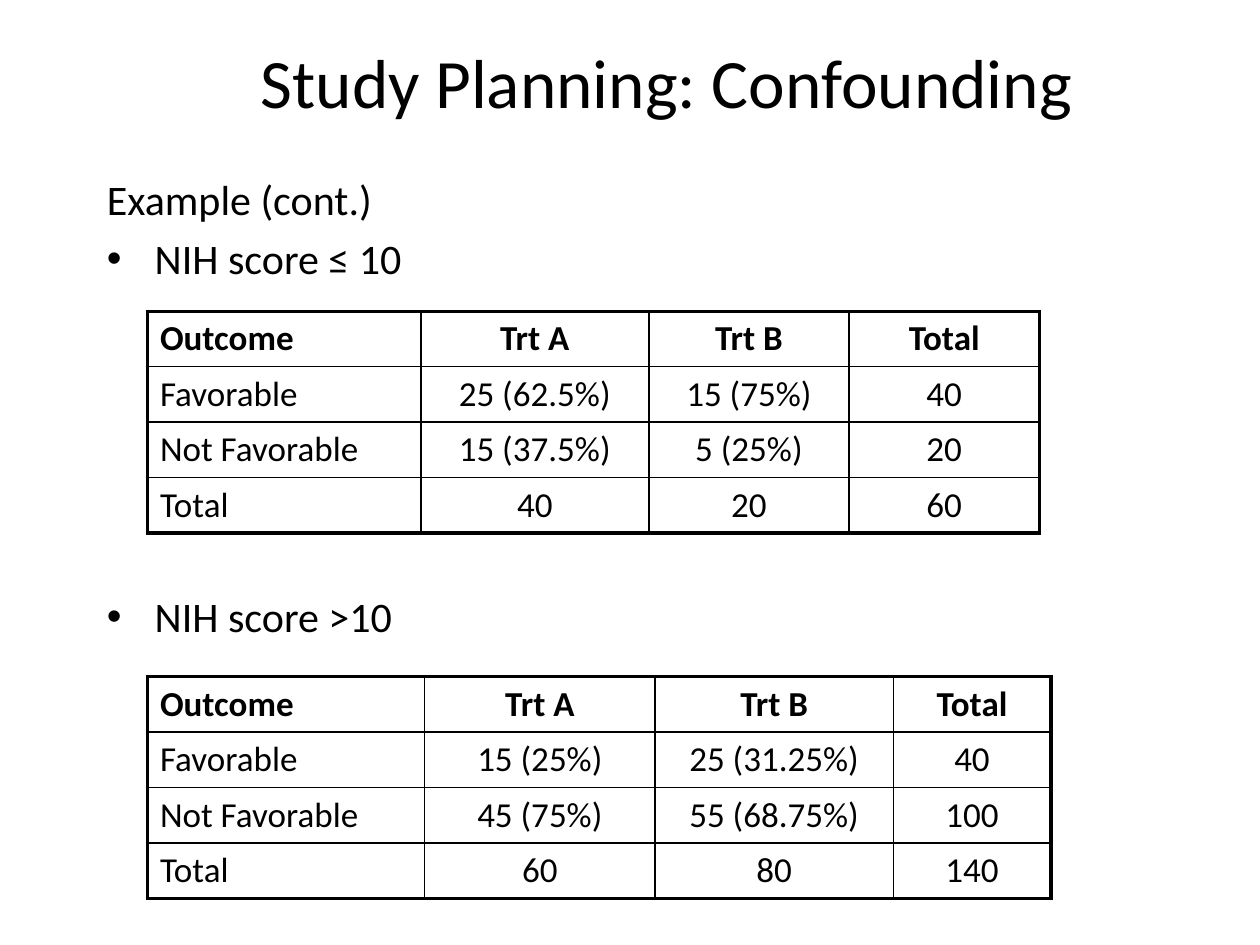
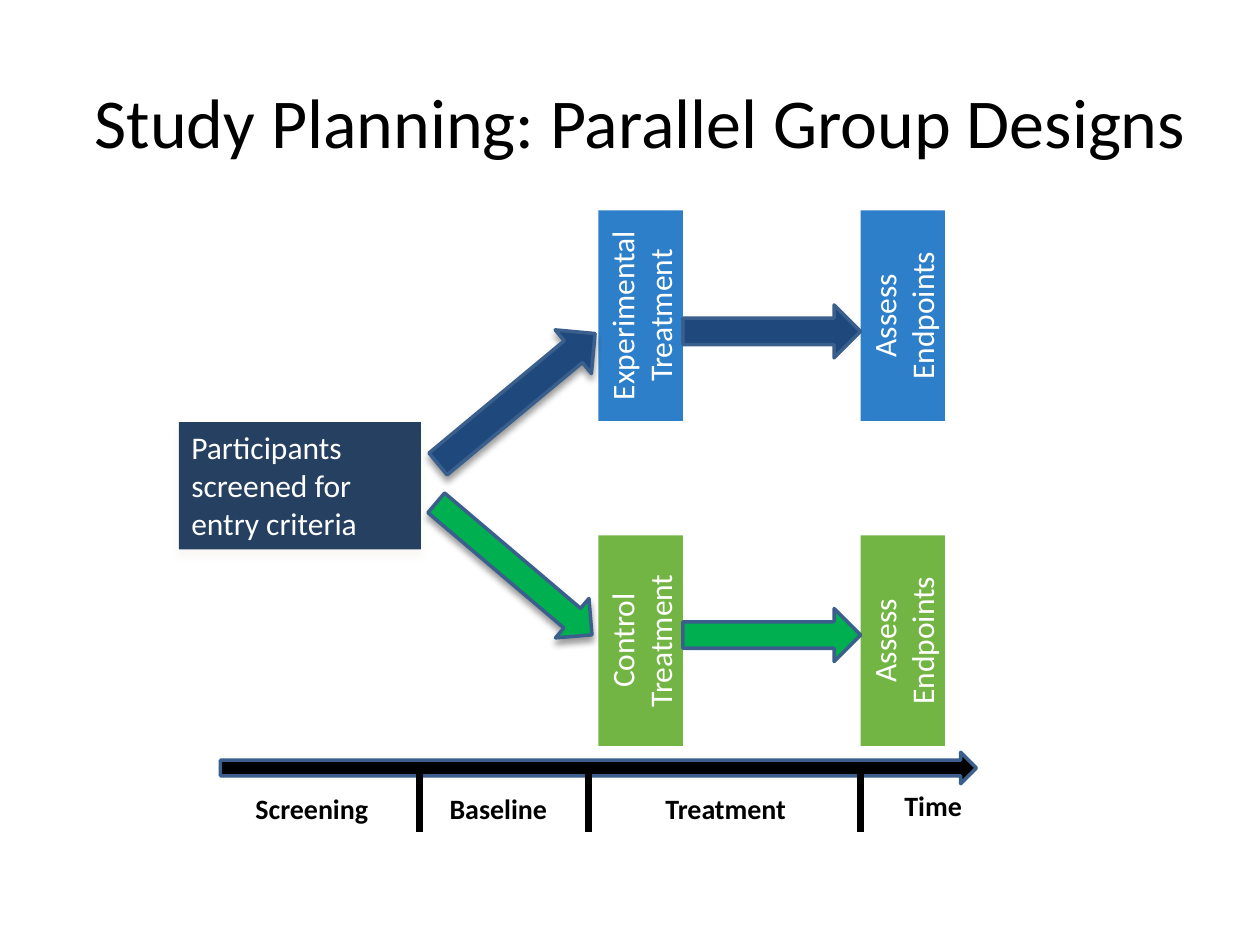
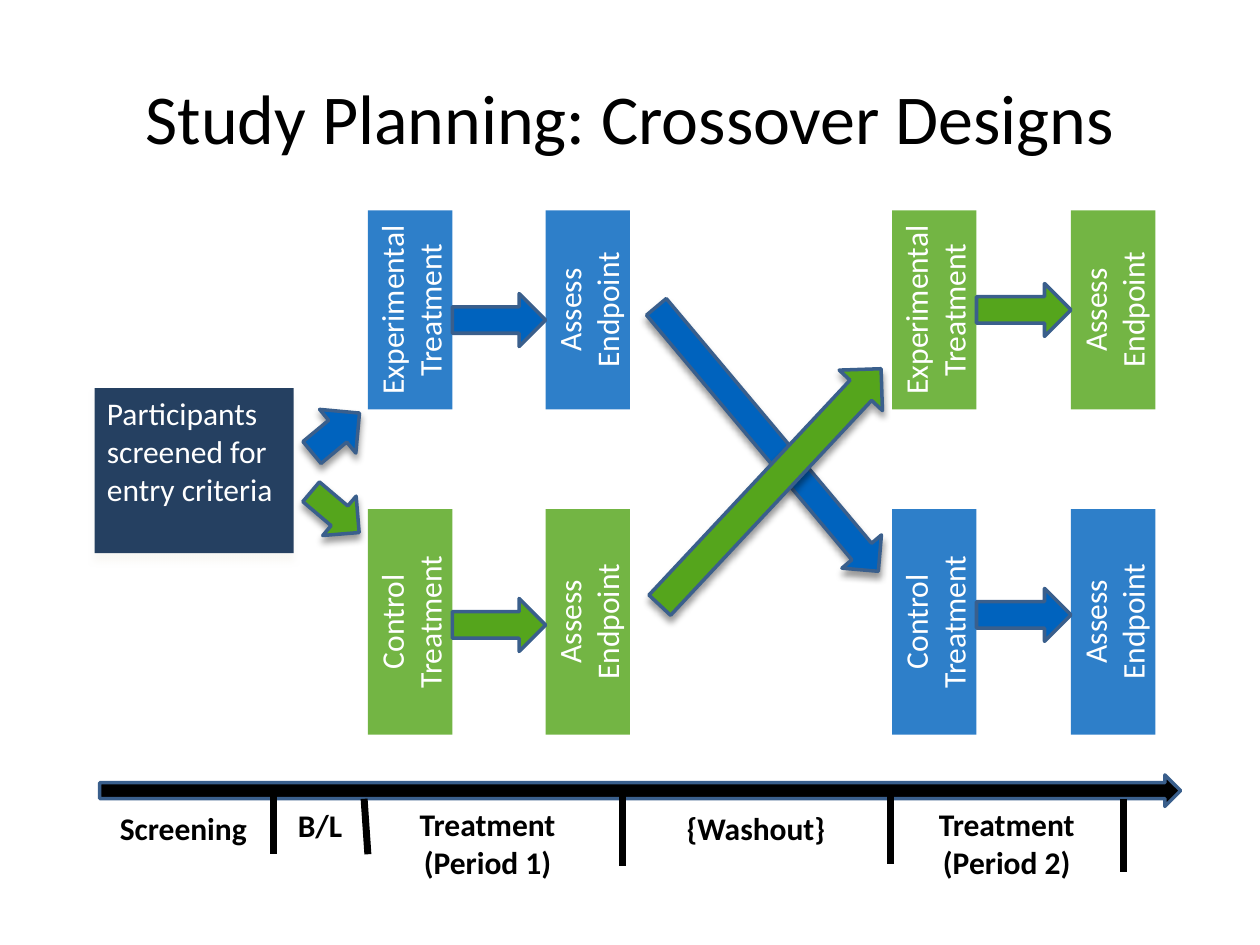
from lxml.etree import SubElement
from pptx import Presentation
from pptx.dml.color import RGBColor
from pptx.enum.shapes import MSO_CONNECTOR, MSO_SHAPE
from pptx.enum.text import MSO_ANCHOR as ANCHOR, PP_ALIGN as ALIGN
from pptx.oxml.ns import qn
from pptx.util import Inches, Pt

FONT = "Calibri"
BLACK = RGBColor(0x00, 0x00, 0x00)
WHITE = RGBColor(0xFF, 0xFF, 0xFF)
DARK = RGBColor(0x25, 0x40, 0x61)
NAVY = RGBColor(0x1F, 0x49, 0x7D)
BLUE = RGBColor(0x00, 0x63, 0xBE)
LEAF = RGBColor(0x55, 0xA5, 0x1C)
GREEN = RGBColor(0x00, 0xB0, 0x50)
EDGE = RGBColor(0x3A, 0x5F, 0x8C)
PALE = RGBColor(0xF8, 0xF7, 0xF3)

BOX_W, ARROW_H, BAR_H = 0.67, 0.42, 0.25
ROW_H = 0.44
THICK, THIN = 2.25, 1
ARROW_SHADOW = (BLACK, 40, 4, 3)
BOX_SHADOW = (PALE, 79, 4, 4)
SCREENED = "Participants screened for entry criteria"
EXPERIMENTAL, CONTROL = "Experimental Treatment", "Control Treatment"

CONFOUNDING = {
    "title": ("Study Planning: Confounding", (1.33, 0.35, 7.92, 0.58), 39.6),
    "bodies": [
        ((0.75, 1.33, 8.5, 1.0), [("Example (cont.)", False), ("NIH score ≤ 10", True)]),
        ((0.75, 4.64, 8.5, 0.5), [("NIH score >10", True)]),
    ],
    "tables": [
        ((1.17, 2.47), (2.17, 1.81, 1.59, 1.51), [
            ("Outcome", "Trt A", "Trt B", "Total"),
            ("Favorable", "25 (62.5%)", "15 (75%)", "40"),
            ("Not Favorable", "15 (37.5%)", "5 (25%)", "20"),
            ("Total", "40", "20", "60"),
        ]),
        ((1.17, 5.37), (2.2, 1.83, 1.89, 1.25), [
            ("Outcome", "Trt A", "Trt B", "Total"),
            ("Favorable", "15 (25%)", "25 (31.25%)", "40"),
            ("Not Favorable", "45 (75%)", "55 (68.75%)", "100"),
            ("Total", "60", "80", "140"),
        ]),
    ],
}

PARALLEL = {
    "title": ("Study Planning: Parallel Group Designs", (0.62, 0.67, 8.92, 0.58), 40),
    "screening": (1.42, 3.35, 1.92, 1.01),
    "endpoint": "Assess Endpoints",
    "rows": [(1.67, 1.67), (4.25, 1.67)],
    "arms": [
        (EXPERIMENTAL, 0, 4.75, 6.83, BLUE, NAVY, 2.42),
        (CONTROL, 1, 4.75, 6.83, LEAF, GREEN, 4.83),
    ],
    "turned": [
        ((3.29, 2.94, 1.62, 0.45), 320.3, NAVY),
        ((3.27, 4.31, 1.62, 0.41), 40.3, GREEN),
    ],
    "timeline": (1.75, 5.97, 6),
    "ticks": [(3.33, 6.14, 3.33, 6.6), (4.67, 6.14, 4.67, 6.6), (6.83, 6.14, 6.83, 6.6)],
    "label_size": 16,
    "labels": [
        ("Screening", (1.64, 6.23, 1.67, 0.37), ALIGN.CENTER),
        ("Baseline", (3.33, 6.23, 1.25, 0.37), ALIGN.CENTER),
        ("Treatment", (4.76, 6.23, 2, 0.37), ALIGN.CENTER),
        ("Time", (7.08, 6.21, 0.83, 0.37), ALIGN.LEFT),
    ],
}

CROSSOVER = {
    "title": ("Study Planning: Crossover Designs", (0.5, 0.3, 9, 1.25), 40),
    "screening": (0.75, 3.08, 1.58, 1.31),
    "endpoint": "Assess Endpoint",
    "rows": [(1.67, 1.58), (4.04, 1.79)],
    "arms": [
        (EXPERIMENTAL, 0, 2.92, 4.33, BLUE, BLUE, 2.33),
        (CONTROL, 1, 2.92, 4.33, LEAF, LEAF, 4.75),
        (EXPERIMENTAL, 0, 7.08, 8.5, LEAF, LEAF, 2.25),
        (CONTROL, 1, 7.08, 8.5, BLUE, BLUE, 4.67),
    ],
    "turned": [
        ((2.42, 3.21, 0.49, 0.45), 320.3, BLUE),
        ((2.41, 3.86, 0.5, 0.41), 40.3, LEAF),
        ((4.72, 3.28, 2.74, 0.41), 50, BLUE),
        ((4.83, 3.63, 2.57, 0.47), 313.1, LEAF),
    ],
    "timeline": (0.79, 6.15, 8.58),
    "ticks": [
        (2.17, 6.31, 2.17, 6.78), (2.89, 6.34, 2.92, 6.78), (4.94, 6.29, 4.94, 6.87),
        (7.07, 6.27, 7.07, 6.86), (8.92, 6.34, 8.92, 6.92),
    ],
    "label_size": 18,
    "labels": [
        ("Screening", (0.83, 6.37, 1.25, 0.4), ALIGN.CENTER),
        ("B/L", (2.25, 6.35, 0.58, 0.4), ALIGN.CENTER),
        ("Treatment (Period 1)", (3.12, 6.34, 1.5, 0.71), ALIGN.CENTER),
        ("{Washout}", (5, 6.37, 2, 0.4), ALIGN.CENTER),
        ("Treatment (Period 2)", (7.2, 6.34, 1.58, 0.71), ALIGN.CENTER),
    ],
}


def inches(values):
    return [Inches(v) for v in values]


def write(p, text, size, color=BLACK, align=ALIGN.LEFT, bold=False):
    p.alignment = align
    r = p.add_run()
    r.text = text
    for name, value in {"name": FONT, "size": Pt(size), "bold": bold}.items():
        setattr(r.font, name, value)
    r.font.color.rgb = color


def add_text(s, at, text, size, align=ALIGN.CENTER, bold=False, anchor=ANCHOR.TOP):
    tf = s.shapes.add_textbox(*inches(at)).text_frame
    tf.word_wrap = True
    tf.vertical_anchor = anchor
    write(tf.paragraphs[0], text, size, align=align, bold=bold)


def add_body(s, at, lines):
    tf = s.shapes.add_textbox(*inches(at)).text_frame
    tf.word_wrap = True
    for i, (text, bulleted) in enumerate(lines):
        p = tf.add_paragraph() if i else tf.paragraphs[0]
        write(p, text, 24)
        if i:
            p.space_before = Pt(4.8)
        if bulleted:
            pPr = p._p.get_or_add_pPr()
            pPr.set("marL", str(Inches(0.38)))
            pPr.set("indent", str(Inches(-0.38)))
            SubElement(pPr, qn("a:buFont"), typeface="Arial")
            SubElement(pPr, qn("a:buChar"), char="•")


def set_border(tcPr, side, width):
    ln = SubElement(tcPr, qn(f"a:ln{side}"), w=str(Pt(width)))
    fill = SubElement(ln, qn("a:solidFill"))
    SubElement(fill, qn("a:srgbClr"), val=str(BLACK))


def add_table(s, at, widths, rows):
    size = (sum(widths), ROW_H * len(rows))
    table = s.shapes.add_table(len(rows), len(widths), *inches(at + size)).table
    for column, width in zip(table.columns, widths):
        column.width = Inches(width)
    last_row, last_col = len(rows) - 1, len(widths) - 1
    for i, values in enumerate(rows):
        table.rows[i].height = Inches(ROW_H)
        for j, value in enumerate(values):
            cell = table.cell(i, j)
            align = ALIGN.CENTER if j else ALIGN.LEFT
            write(cell.text_frame.paragraphs[0], value, 20, align=align, bold=i == 0)
            outer = {"L": j == 0, "R": j == last_col, "T": i == 0, "B": i == last_row}
            for side, is_outer in outer.items():
                set_border(cell._tc.get_or_add_tcPr(), side, THICK if is_outer else THIN)
            cell.fill.background()


def add_shadow(sp, color, alpha, blur, dist):
    effects = sp._element.spPr.find(qn("a:effectLst"))
    shadow = SubElement(effects, qn("a:outerShdw"), blurRad=str(Pt(blur)),
                        dist=str(Pt(dist)), dir="5400000", rotWithShape="0")
    clr = SubElement(shadow, qn("a:srgbClr"), val=str(color))
    SubElement(clr, qn("a:alpha"), val=str(alpha * 1000))


def add_filled(s, kind, at, color):
    sp = s.shapes.add_shape(kind, *inches(at))
    sp.fill.solid()
    sp.fill.fore_color.rgb = color
    sp.line.fill.background()
    sp.shadow.inherit = False
    return sp


def add_arrow(s, at, color, rotation=0):
    sp = add_filled(s, MSO_SHAPE.RIGHT_ARROW, at, color)
    sp.line.color.rgb = EDGE
    sp.line.width = Pt(2)
    sp.rotation = rotation
    if rotation:
        add_shadow(sp, *ARROW_SHADOW)


def add_screening(s, at):
    sp = add_filled(s, MSO_SHAPE.RECTANGLE, at, DARK)
    add_shadow(sp, *BOX_SHADOW)
    sp.text_frame.vertical_anchor = ANCHOR.TOP
    write(sp.text_frame.paragraphs[0], SCREENED, 18, WHITE)


def add_upright(s, at, text, color):
    sp = add_filled(s, MSO_SHAPE.RECTANGLE, at, color)
    clr = sp._element.spPr.find(qn("a:solidFill")).find(qn("a:srgbClr"))
    SubElement(clr, qn("a:alpha"), val="82000")
    tf = sp.text_frame
    tf.vertical_anchor = ANCHOR.MIDDLE
    tf._txBody.bodyPr.set("vert", "vert270")
    write(tf.paragraphs[0], text, 18, WHITE, ALIGN.CENTER)


def add_tick(s, ends):
    line = s.shapes.add_connector(MSO_CONNECTOR.STRAIGHT, *inches(ends))
    line.line.color.rgb = BLACK
    line.line.width = Pt(4)
    SubElement(line._element.spPr, qn("a:effectLst"))


def add_slide(prs, title):
    s = prs.slides.add_slide(prs.slide_layouts[6])
    text, at, size = title
    add_text(s, at, text, size, anchor=ANCHOR.MIDDLE)
    return s


def build_tables(prs, data):
    s = add_slide(prs, data["title"])
    for at, lines in data["bodies"]:
        add_body(s, at, lines)
    for at, widths, rows in data["tables"]:
        add_table(s, at, widths, rows)


def build_design(prs, data):
    s = add_slide(prs, data["title"])
    add_screening(s, data["screening"])
    for treatment, row, x, end_x, box_color, arrow_color, arrow_y in data["arms"]:
        top, height = data["rows"][row]
        for left, text in ((x, treatment), (end_x, data["endpoint"])):
            add_upright(s, (left, top, BOX_W, height), text, box_color)
        start = x + BOX_W
        add_arrow(s, (start, arrow_y, end_x - start, ARROW_H), arrow_color)
    for at, rotation, color in data["turned"]:
        add_arrow(s, at, color, rotation)
    add_arrow(s, data["timeline"] + (BAR_H,), BLACK)
    for ends in data["ticks"]:
        add_tick(s, ends)
    for text, at, align in data["labels"]:
        add_text(s, at, text, data["label_size"], align, bold=True)


def main():
    prs = Presentation()
    prs.slide_width, prs.slide_height = Inches(10), Inches(7.5)
    build_tables(prs, CONFOUNDING)
    for design in (PARALLEL, CROSSOVER):
        build_design(prs, design)
    prs.save("out.pptx")


if __name__ == "__main__":
    main()
